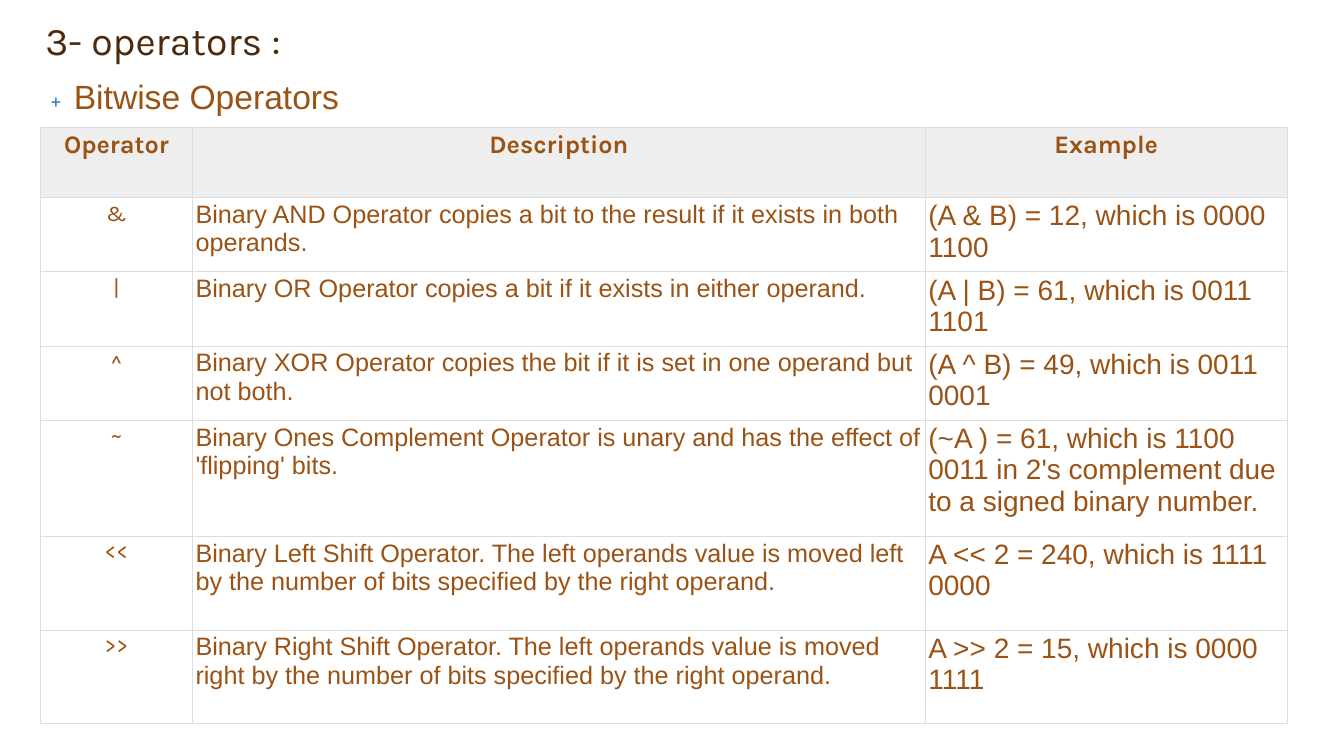
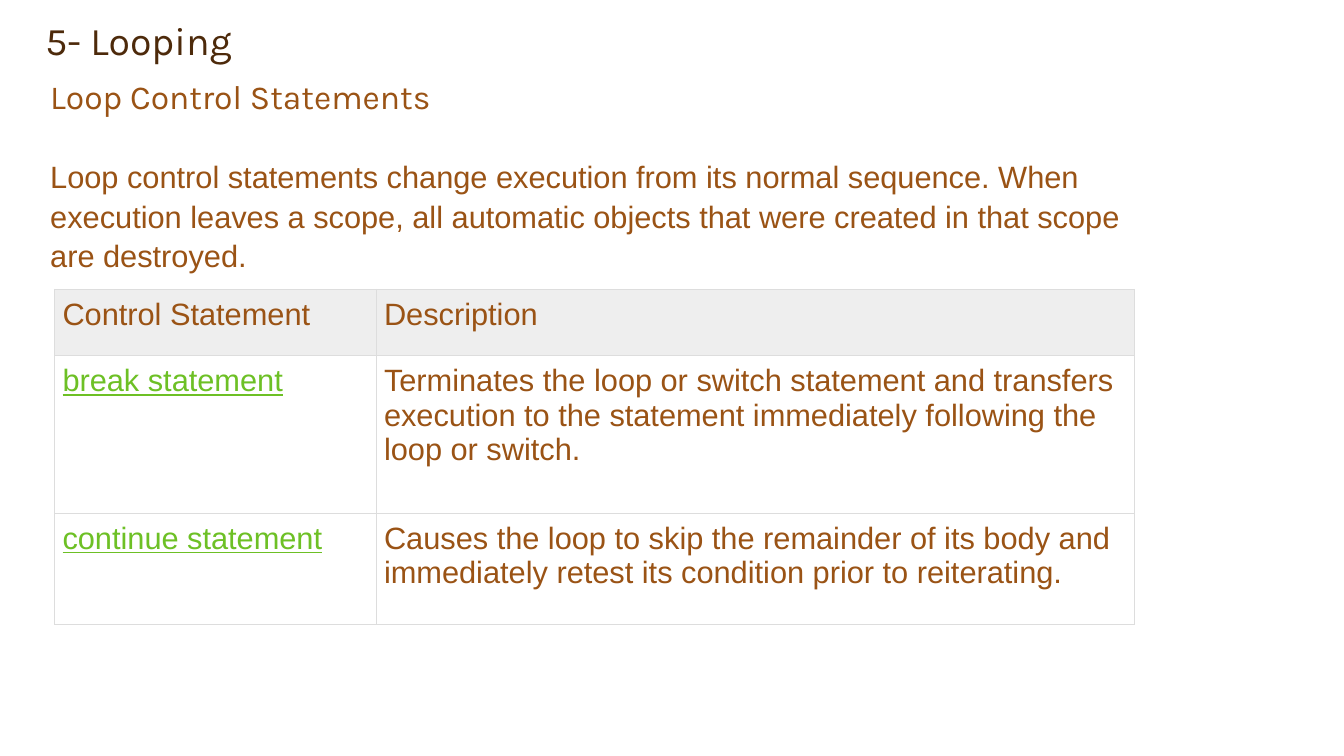
from collections import namedtuple
from dataclasses import dataclass, replace
from itertools import product
from lxml.etree import SubElement as Sub
from pptx import Presentation as Pres
from pptx.dml.color import RGBColor as Rgb
from pptx.enum.text import MSO_ANCHOR as Anchor, PP_ALIGN as Align
from pptx.oxml.ns import qn
from pptx.util import Inches, Pt

UNIT = 0.1
COLS, ROWS = 133.33, 75


@dataclass(frozen=True)
class Style:
    size: float
    face: str = "Arial"
    color: str = "9A5315"
    bold: bool = False
    under: bool = False
    align: Align = Align.LEFT


@dataclass(frozen=True)
class Theme:
    title: Style = Style(28, "Karla", "4D2A0B")
    mark: Style = Style(14, "Noto Sans Mono", "1A72CB")
    sub: Style = Style(24)
    alt: Style = Style(24, "Karla")
    body: Style = Style(22)
    link: Style = Style(22, color="6DC025", under=True, align=Align.JUSTIFY)
    head: Style = Style(18, "Karla", bold=True, align=Align.CENTER)
    sign: Style = Style(16, "Karla", align=Align.CENTER)
    note: Style = Style(18)
    case: Style = Style(20)
    band: str = "EEEEEE"
    rule: str = "DDDDDD"
    rule_pt: float = 0.75
    lead: float = 1.07


Box = namedtuple("Box", "x y w h")


def grid(n):
    return Inches(n * UNIT)


class Deck:
    def __init__(self, theme):
        self.theme = theme
        self.file = Pres()
        self.file.slide_width = grid(COLS)
        self.file.slide_height = grid(ROWS)
        self.slide = None

    def page(self, title):
        self.slide = self.file.slides.add_slide(self.file.slide_layouts[6])
        frame = self.frame(Box(2.5, 1, 110, 5.8))
        frame.margin_left = grid(2)
        frame.vertical_anchor = Anchor.BOTTOM
        self.line(frame.paragraphs[0], title, self.theme.title, 0.9)

    def frame(self, box):
        shape = self.slide.shapes.add_textbox(*map(grid, box))
        shape.text_frame.word_wrap = True
        return shape.text_frame

    def ink(self, font, style):
        font.name = style.face
        font.size = Pt(style.size)
        font.bold = style.bold
        font.underline = style.under
        font.color.rgb = Rgb.from_string(style.color)

    def line(self, para, text, style, lead=1.0):
        para.add_run().text = text
        para.alignment = style.align
        para.line_spacing = lead
        self.ink(para.font, style)

    def point(self, box, text):
        para = self.frame(box).paragraphs[0]
        para.line_spacing = self.theme.lead
        for part, style in (("+ ", self.theme.mark), (text, self.theme.sub)):
            run = para.add_run()
            run.text = part
            self.ink(run.font, style)

    def intro(self, box, head, text, gap):
        frame = self.frame(box)
        self.line(frame.paragraphs[0], head, self.theme.alt, self.theme.lead)
        para = frame.add_paragraph()
        para.space_before = Pt(gap)
        self.line(para, text, self.theme.body, self.theme.lead)

    def edge(self, cell):
        props = cell._tc.get_or_add_tcPr()
        for side in "LRTB":
            line = Sub(props, qn(f"a:ln{side}"), w=str(Pt(self.theme.rule_pt)))
            fill = Sub(line, qn("a:solidFill"))
            Sub(fill, qn("a:srgbClr"), val=self.theme.rule)

    def table(self, x, y, wide, high, data, head, styles, pad):
        size = len(high), len(wide)
        box = Box(x, y, sum(wide), sum(high))
        table = self.slide.shapes.add_table(*size, *map(grid, box)).table
        table.first_row = table.horz_banding = False
        for col, w in zip(table.columns, wide):
            col.width = grid(w)
        for row, h in zip(table.rows, high):
            row.height = grid(h)
        for r, c in product(*map(range, size)):
            cell = table.cell(r, c)
            cell.margin_left = cell.margin_right = grid(pad)
            cell.margin_top = cell.margin_bottom = grid(pad)
            self.edge(cell)
            if r:
                cell.fill.background()
            else:
                cell.fill.solid()
                cell.fill.fore_color.rgb = Rgb.from_string(self.theme.band)
            style = styles[c] if r else head
            self.line(cell.text_frame.paragraphs[0], data[r][c], style)

    def save(self):
        self.file.save("out.pptx")


BITS = [
    ("Operator", "Description", "Example"),
    ("&", "Binary AND Operator copies a bit to the result if it exists in both operands.",
     "(A & B) = 12, which is 0000 1100"),
    ("|", "Binary OR Operator copies a bit if it exists in either operand.",
     "(A | B) = 61, which is 0011 1101"),
    ("^", "Binary XOR Operator copies the bit if it is set in one operand but not both.",
     "(A ^ B) = 49, which is 0011 0001"),
    ("~", "Binary Ones Complement Operator is unary and has the effect of 'flipping' bits.",
     "(~A ) = 61, which is 1100 0011 in 2's complement due to a signed binary number."),
    ("<<", "Binary Left Shift Operator. The left operands value is moved left by the "
     "number of bits specified by the right operand.",
     "A << 2 = 240, which is 1111 0000"),
    (">>", "Binary Right Shift Operator. The left operands value is moved right by the "
     "number of bits specified by the right operand.",
     "A >> 2 = 15, which is 0000 1111"),
]

LOOPS = [
    ("Control Statement", "Description"),
    ("break statement", "Terminates the loop or switch statement and transfers execution "
     "to the statement immediately following the loop or switch."),
    ("continue statement", "Causes the loop to skip the remainder of its body and "
     "immediately retest its condition prior to reiterating."),
]


def main():
    theme = Theme()
    deck = Deck(theme)

    deck.page("3- operators :")
    deck.point(Box(4, 6.8, 102.9, 5.8), "Bitwise Operators")
    deck.table(4, 12.6, (15.1, 72.7, 35.9), (7, *[7.37] * 3, 11.5, 9.3, 9.3),
               BITS, theme.head, (theme.sign, theme.note, theme.case), 0.3)

    deck.page("5- Looping")
    deck.intro(Box(4, 6.8, 111.9, 20.2), "Loop Control Statements",
               "Loop control statements change execution from its normal sequence. "
               "When execution leaves a scope, all automatic objects that were created "
               "in that scope are destroyed.", 27.5)
    deck.table(5.4, 28.7, (31.9, 75.2), (6.6, 15.6, 11.1),
               LOOPS, theme.body, (theme.link, theme.body), 0.8)

    deck.save()


if __name__ == "__main__":
    main()
